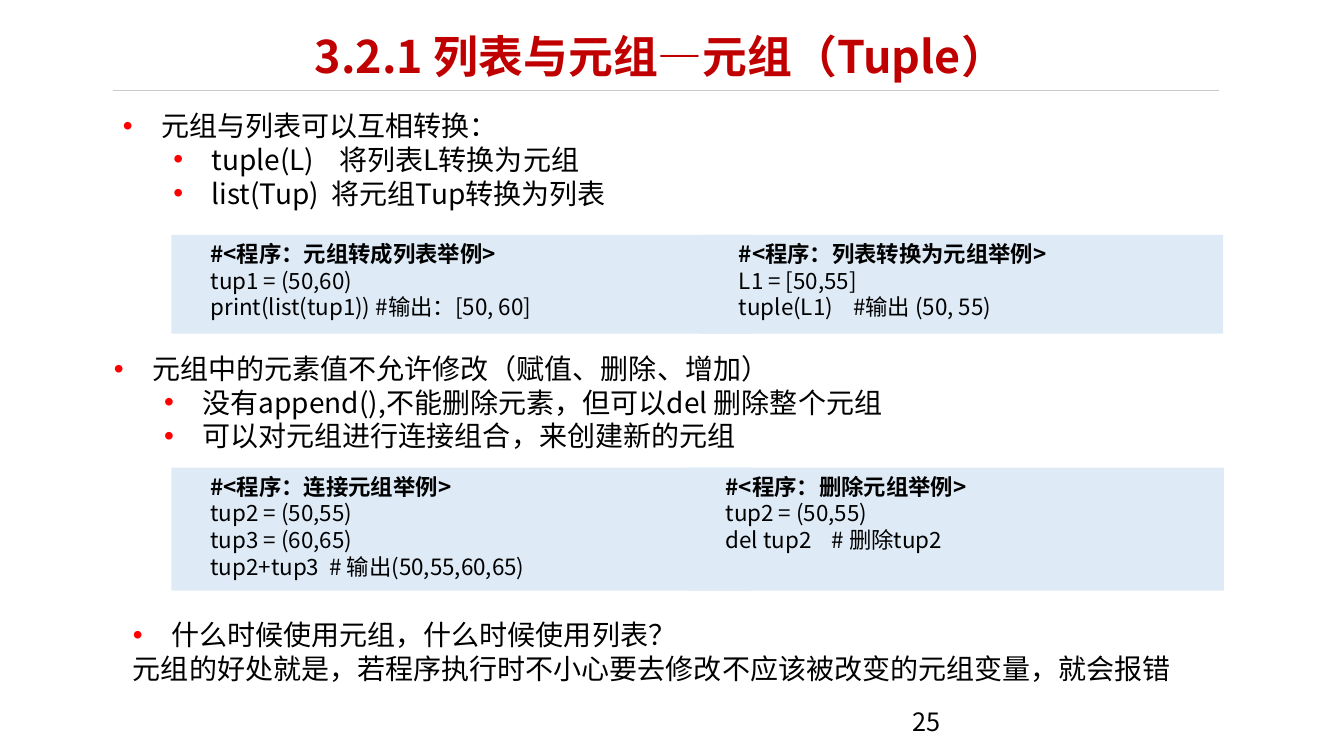
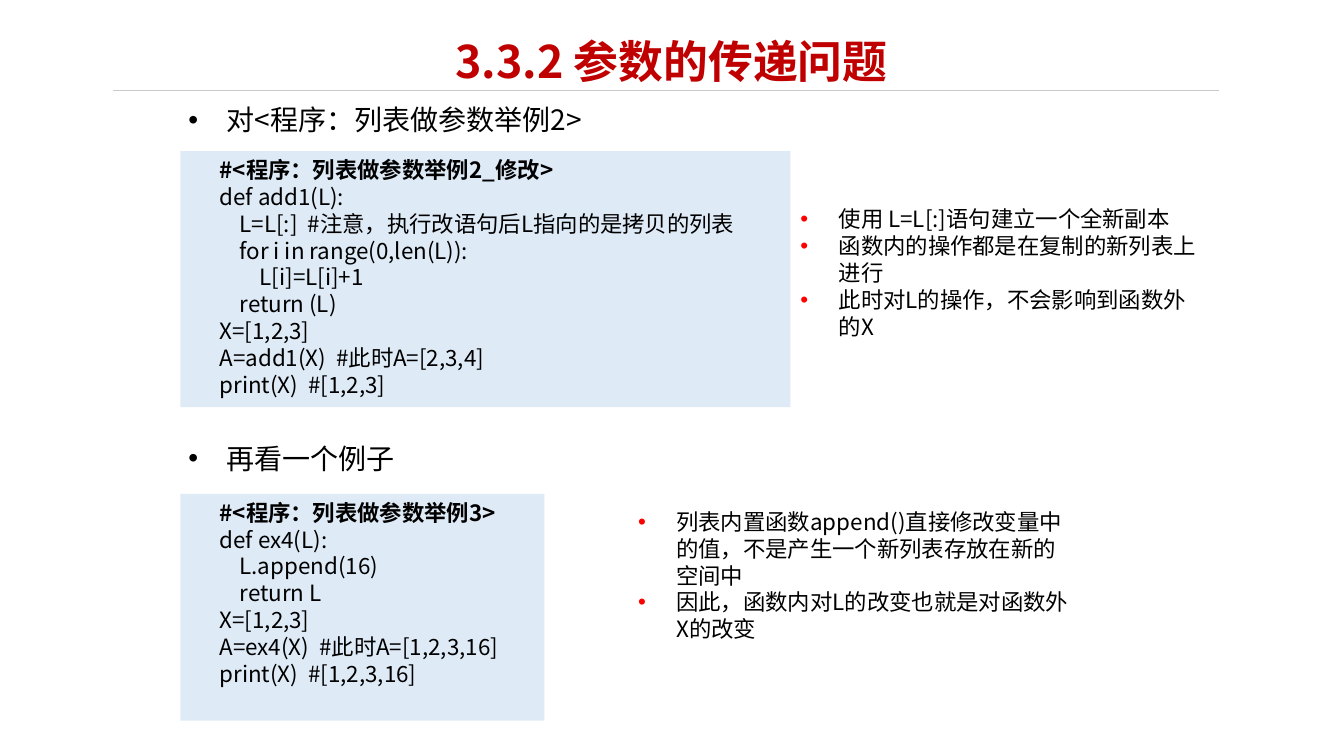
from dataclasses import dataclass

from lxml.etree import SubElement
from pptx import Presentation
from pptx.dml.color import RGBColor
from pptx.enum.shapes import MSO_CONNECTOR, MSO_SHAPE
from pptx.enum.text import MSO_ANCHOR, PP_ALIGN
from pptx.oxml.ns import qn
from pptx.util import Inches, Pt


@dataclass(frozen=True)
class Theme:
    font: str = "Noto Sans CJK SC"
    title_color: str = "C00000"
    text_color: str = "000000"
    bullet_color: str = "FF0000"
    rule_color: str = "C9C9C9"
    code_fill: str = "DEEAF6"
    title_size: int = 32
    body_size: int = 20
    number_size: int = 18
    code_size: int = 16
    line_height: float = 1.2
    title_line_height: float = 1.08
    bullet_indent: float = 0.38
    level_indent: float = 0.5
    code_indent: float = 0.29


class Deck:
    def __init__(self, theme):
        self.theme = theme
        self.presentation = Presentation()
        self.presentation.slide_width = Inches(13.33)
        self.presentation.slide_height = Inches(7.5)
        self.slide = None

    def add_slide(self, title, left, top):
        """Start a slide with its heading and the rule below it."""
        theme = self.theme
        self.slide = self.presentation.slides.add_slide(self.presentation.slide_layouts[6])
        rule = self.slide.shapes.add_connector(
            MSO_CONNECTOR.STRAIGHT, Inches(1.12), Inches(0.9), Inches(12.09), Inches(0.9))
        rule.line.color.rgb = RGBColor.from_string(theme.rule_color)
        rule.line.width = Pt(1)
        SubElement(rule._element.spPr, qn("a:effectLst"))
        paragraph = self.text_frame(left, top, 8.62, 0.71).paragraphs[0]
        paragraph.text = title
        paragraph.alignment = PP_ALIGN.CENTER
        self.style(paragraph, theme.title_size, theme.title_color, True, theme.title_line_height)

    def text_frame(self, left, top, width, height):
        box = self.slide.shapes.add_textbox(
            Inches(left), Inches(top), Inches(width), Inches(height))
        box.text_frame.word_wrap = True
        return box.text_frame

    def style(self, paragraph, size, color=None, bold=False, line_height=None):
        theme = self.theme
        paragraph.line_spacing = Pt(size * (line_height or theme.line_height))
        for run in paragraph.runs:
            run.font.name = theme.font
            run.font.size = Pt(size)
            run.font.bold = bold
            run.font.color.rgb = RGBColor.from_string(color or theme.text_color)
            east_asian = SubElement(run.font._element, qn("a:ea"))
            east_asian.set("typeface", theme.font)

    def indent(self, paragraph, margin, first_line):
        properties = paragraph._p.get_or_add_pPr()
        properties.set("marL", str(Inches(margin)))
        properties.set("indent", str(Inches(first_line)))
        return properties

    def bullet(self, paragraph, color):
        theme = self.theme
        margin = theme.bullet_indent + paragraph.level * theme.level_indent
        properties = self.indent(paragraph, margin, -theme.bullet_indent)
        if color:
            bullet_color = SubElement(properties, qn("a:buClr"))
            SubElement(bullet_color, qn("a:srgbClr")).set("val", color)
        SubElement(properties, qn("a:buFont")).set("typeface", "Arial")
        SubElement(properties, qn("a:buChar")).set("char", "•")

    def text(self, left, top, width, height, lines, size):
        """Add lines of plain text."""
        frame = self.text_frame(left, top, width, height)
        frame.text = "\n".join(lines)
        for paragraph in frame.paragraphs:
            self.style(paragraph, size)
        return frame

    def bullets(self, left, top, width, height, items, size=None, color=None, closing=()):
        """Add (level, text) items, then closing lines without a bullet."""
        lines = [text for _, text in items] + list(closing)
        frame = self.text(left, top, width, height, lines, size or self.theme.body_size)
        for paragraph, (level, _) in zip(frame.paragraphs, items):
            paragraph.level = level
            self.bullet(paragraph, color)

    def code(self, left, top, width, height, lines):
        """Add a tinted panel of code with a bold first line."""
        theme = self.theme
        panel = self.slide.shapes.add_shape(
            MSO_SHAPE.RECTANGLE, Inches(left), Inches(top), Inches(width), Inches(height))
        panel.shadow.inherit = False
        panel.fill.solid()
        panel.fill.fore_color.rgb = RGBColor.from_string(theme.code_fill)
        panel.line.fill.background()
        frame = panel.text_frame
        frame.word_wrap = True
        frame.vertical_anchor = MSO_ANCHOR.TOP
        frame.text = "\n".join(lines)
        for index, paragraph in enumerate(frame.paragraphs):
            paragraph.alignment = PP_ALIGN.JUSTIFY
            self.indent(paragraph, 0, theme.code_indent)
            self.style(paragraph, theme.code_size, bold=index == 0)


def add_tuple_slide(deck):
    theme = deck.theme
    red = theme.bullet_color
    deck.add_slide("3.2.1 列表与元组—元组（Tuple）", 2.24, 0.29)
    deck.text(8.95, 6.96, 1.4, 0.4, ["25"], theme.number_size)
    deck.bullets(1.12, 1.03, 11.09, 1.11, [
        (0, "元组与列表可以互相转换："),
        (1, "tuple(L)    将列表L转换为元组"),
        (1, "list(Tup)  将元组Tup转换为列表"),
    ], color=red)
    deck.code(1.7, 2.33, 5.75, 0.98, [
        "#<程序：元组转成列表举例>",
        "tup1 = (50,60)",
        "print(list(tup1)) #输出：[50, 60]",
    ])
    deck.code(6.94, 2.33, 5.19, 0.98, [
        "#<程序：列表转换为元组举例>",
        "L1 = [50,55]",
        "tuple(L1)    #输出 (50, 55)",
    ])
    deck.bullets(1.03, 3.44, 11.09, 1.11, [
        (0, "元组中的元素值不允许修改（赋值、删除、增加）"),
        (1, "没有append(),不能删除元素，但可以del 删除整个元组"),
        (1, "可以对元组进行连接组合，来创建新的元组"),
    ], color=red)
    deck.code(1.7, 4.64, 5.74, 1.22, [
        "#<程序：连接元组举例>",
        "tup2 = (50,55)",
        "tup3 = (60,65)",
        "tup2+tup3  # 输出(50,55,60,65)",
    ])
    deck.code(6.81, 4.64, 5.33, 1.22, [
        "#<程序：删除元组举例>",
        "tup2 = (50,55)",
        "del tup2    # 删除tup2",
    ])
    deck.bullets(1.22, 6.08, 10.61, 0.77, [
        (0, "什么时候使用元组，什么时候使用列表？"),
    ], color=red, closing=[
        "元组的好处就是，若程序执行时不小心要去修改不应该被改变的元组变量，就会报错",
    ])


def add_parameter_slide(deck):
    theme = deck.theme
    red = theme.bullet_color
    deck.add_slide("3.3.2 参数的传递问题", 2.35, 0.34)
    deck.bullets(1.77, 0.97, 5.31, 0.44, [(0, "对<程序：列表做参数举例2>")])
    deck.code(1.79, 1.5, 6.05, 2.54, [
        "#<程序：列表做参数举例2_修改>",
        "def add1(L):",
        "    L=L[:]  #注意，执行改语句后L指向的是拷贝的列表",
        "    for i in range(0,len(L)):",
        "        L[i]=L[i]+1",
        "    return (L)",
        "X=[1,2,3]",
        "A=add1(X)  #此时A=[2,3,4]",
        "print(X)  #[1,2,3]",
    ])
    deck.bullets(7.84, 1.99, 4.18, 1.45, [
        (0, "使用 L=L[:]语句建立一个全新副本"),
        (0, "函数内的操作都是在复制的新列表上进行"),
        (0, "此时对L的操作，不会影响到函数外的X"),
    ], theme.code_size, red)
    deck.bullets(1.77, 4.33, 2.26, 0.44, [(0, "再看一个例子")])
    deck.code(1.79, 4.9, 3.61, 2.25, [
        "#<程序：列表做参数举例3>",
        "def ex4(L):",
        "    L.append(16)",
        "    return L",
        "X=[1,2,3]",
        "A=ex4(X)  #此时A=[1,2,3,16]",
        "print(X)  #[1,2,3,16]",
    ])
    deck.bullets(6.23, 4.99, 4.56, 1.45, [
        (0, "列表内置函数append()直接修改变量中的值，不是产生一个新列表存放在新的空间中"),
        (0, "因此，函数内对L的改变也就是对函数外X的改变"),
    ], theme.code_size, red)


def main():
    deck = Deck(Theme())
    add_tuple_slide(deck)
    add_parameter_slide(deck)
    deck.presentation.save("out.pptx")


if __name__ == "__main__":
    main()
